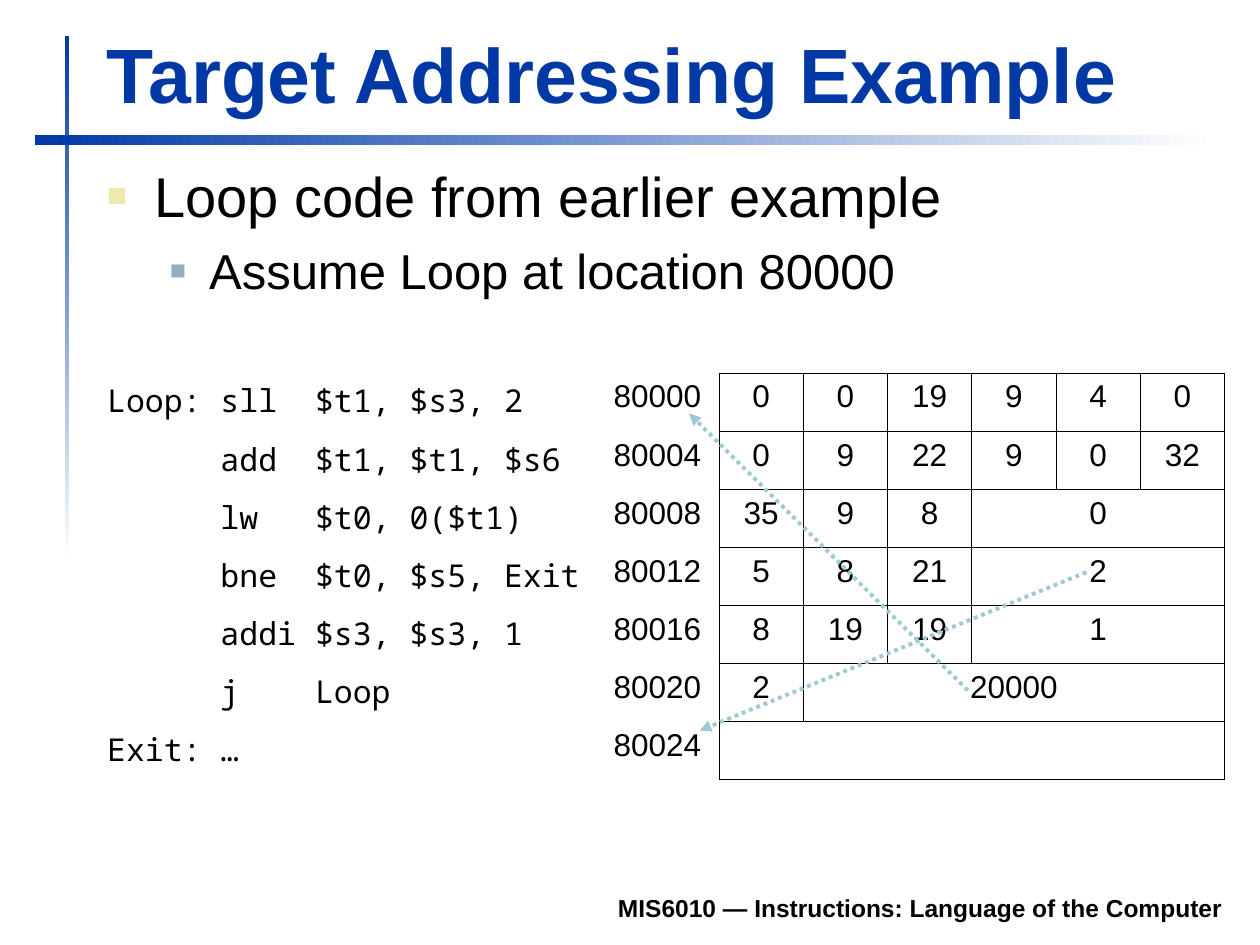
import pptx
import pptx.util
import pptx.dml.color
import pptx.enum.dml
import pptx.enum.shapes
import pptx.enum.text
import pptx.oxml
import pptx.oxml.ns
import lxml.etree

Pt = pptx.util.Pt
RGB = pptx.dml.color.RGBColor
Align = pptx.enum.text.PP_ALIGN
Anchor = pptx.enum.text.MSO_ANCHOR
qn = pptx.oxml.ns.qn

BLUE = RGB(0x00, 0x39, 0xA6)
BLACK = RGB(0x00, 0x00, 0x00)
WHITE = RGB(0xFF, 0xFF, 0xFF)
SAND = RGB(0xEC, 0xEA, 0xAC)
STEEL = RGB(0x91, 0xAF, 0xBF)
AQUA = RGB(0x9F, 0xCA, 0xD3)


def write(para, text, size=18, font="Arial", color=BLACK, bold=False,
          align=Align.LEFT, before=0, bullet=None):
    """Fill a paragraph; bullet is (colour, percent, left, hang)."""
    para.alignment = align
    para.space_before = Pt(before)
    if bullet:
        tint, share, left, hang = bullet
        props = para._p.get_or_add_pPr()
        props.set("marL", str(Pt(left)))
        props.set("indent", str(-Pt(hang)))
        paint = lxml.etree.SubElement(props, qn("a:buClr"))
        lxml.etree.SubElement(paint, qn("a:srgbClr"), val=str(tint))
        lxml.etree.SubElement(props, qn("a:buSzPct"), val=str(share * 1000))
        lxml.etree.SubElement(props, qn("a:buFont"), typeface="Arial")
        lxml.etree.SubElement(props, qn("a:buChar"), char="■")
    run = para.add_run()
    run.text = text
    run.font.size = Pt(size)
    run.font.name = font
    run.font.bold = bold
    run.font.color.rgb = color


def add_box(left, top, width, height, anchor):
    frame = slide.shapes.add_textbox(
        Pt(left), Pt(top), Pt(width), Pt(height)).text_frame
    frame.word_wrap = True
    frame.vertical_anchor = anchor
    return frame


deck = pptx.Presentation()
deck.slide_width, deck.slide_height = Pt(720), Pt(540)
slide = deck.slides.add_slide(deck.slide_layouts[6])

# Fading bars: upright, then level
for left, top, width, height, angle in [(37, 20.5, 2.5, 300, 270),
                                        (19.75, 77, 675, 5.75, 0)]:
    bar = slide.shapes.add_shape(pptx.enum.shapes.MSO_SHAPE.RECTANGLE,
                                 Pt(left), Pt(top), Pt(width), Pt(height))
    bar.shadow.inherit = False
    bar.line.fill.background()
    bar.fill.gradient()
    bar.fill.gradient_angle = angle
    for stop, color in zip(bar.fill.gradient_stops, (BLUE, WHITE)):
        stop.color.rgb = color

# Footer and title
foot = add_box(133.25, 502.5, 572.5, 28, Anchor.BOTTOM)
write(foot.paragraphs[0], "MIS6010 — Instructions: Language of the Computer",
      size=14, bold=True, align=Align.RIGHT)
title = add_box(54, 11.5, 650, 60, Anchor.BOTTOM)
write(title.paragraphs[0], "Target Addressing Example",
      size=44, color=BLUE, bold=True)

# Bullets
body = add_box(54, 88.5, 651, 96.5, Anchor.TOP)
write(body.paragraphs[0], "Loop code from earlier example",
      size=32, bullet=(SAND, 60, 27, 27))
point = body.add_paragraph()
point.level = 1
write(point, "Assume Loop at location 80000",
      size=28, before=7, bullet=(STEEL, 55, 58.5, 22.5))

# Code, address and instruction fields; the last field fills its row
rows = [
    ("Loop: sll  $t1, $s3, 2", [0, 0, 19, 9, 4, 0]),
    ("      add  $t1, $t1, $s6", [0, 9, 22, 9, 0, 32]),
    ("      lw   $t0, 0($t1)", [35, 9, 8, 0]),
    ("      bne  $t0, $s5, Exit", [5, 8, 21, 2]),
    ("      addi $s3, $s3, 1", [8, 19, 19, 1]),
    ("      j    Loop", [2, 20000]),
    ("Exit: …", [""]),
]
widths = [289.4, 67.5] + [48.15] * 6
high = 33.2
table = slide.shapes.add_table(
    len(rows), len(widths), Pt(54), Pt(213.2),
    Pt(sum(widths)), Pt(high * len(rows))).table
table.first_row = table.horz_banding = False
for col, width in zip(table.columns, widths):
    col.width = Pt(width)

for r, (code, fields) in enumerate(rows):
    table.rows[r].height = Pt(high)

    # Clear fills and thin borders, black around the fields only
    for c in range(len(widths)):
        cell = table.cell(r, c)
        cell.fill.background()
        props = cell._tc.get_or_add_tcPr()
        for i, side in enumerate("LRTB"):
            dark = c > 1 or (c == 1 and side == "R")
            edge = lxml.etree.Element(qn("a:ln" + side), w=str(Pt(0.45)))
            solid = lxml.etree.SubElement(edge, qn("a:solidFill"))
            lxml.etree.SubElement(solid, qn("a:srgbClr"),
                                  val=str(BLACK if dark else WHITE))
            props.insert(i, edge)

    last = len(fields) + 1
    if last < len(widths) - 1:
        table.cell(r, last).merge(table.cell(r, len(widths) - 1))
    for c, text in enumerate([code, 80000 + 4 * r] + fields):
        if text != "":
            write(table.cell(r, c).text_frame.paragraphs[0], str(text),
                  font="Arial" if c else "Noto Sans Mono",
                  align=Align.CENTER if c > 1 else Align.LEFT)

# Dotted arrows from the target fields to the addresses
for ends in [(553, 394.5, 393.75, 236.25), (620.75, 327, 399.75, 417.5)]:
    arrow = slide.shapes.add_connector(
        pptx.enum.shapes.MSO_CONNECTOR.STRAIGHT, *map(Pt, ends))
    arrow.line.color.rgb = AQUA
    arrow.line.width = Pt(2.25)
    arrow.line.dash_style = pptx.enum.dml.MSO_LINE.ROUND_DOT
    lxml.etree.SubElement(arrow.line._get_or_add_ln(), qn("a:tailEnd"),
                          type="triangle")
    lxml.etree.SubElement(arrow._element.spPr, qn("a:effectLst"))

deck.save("out.pptx")
